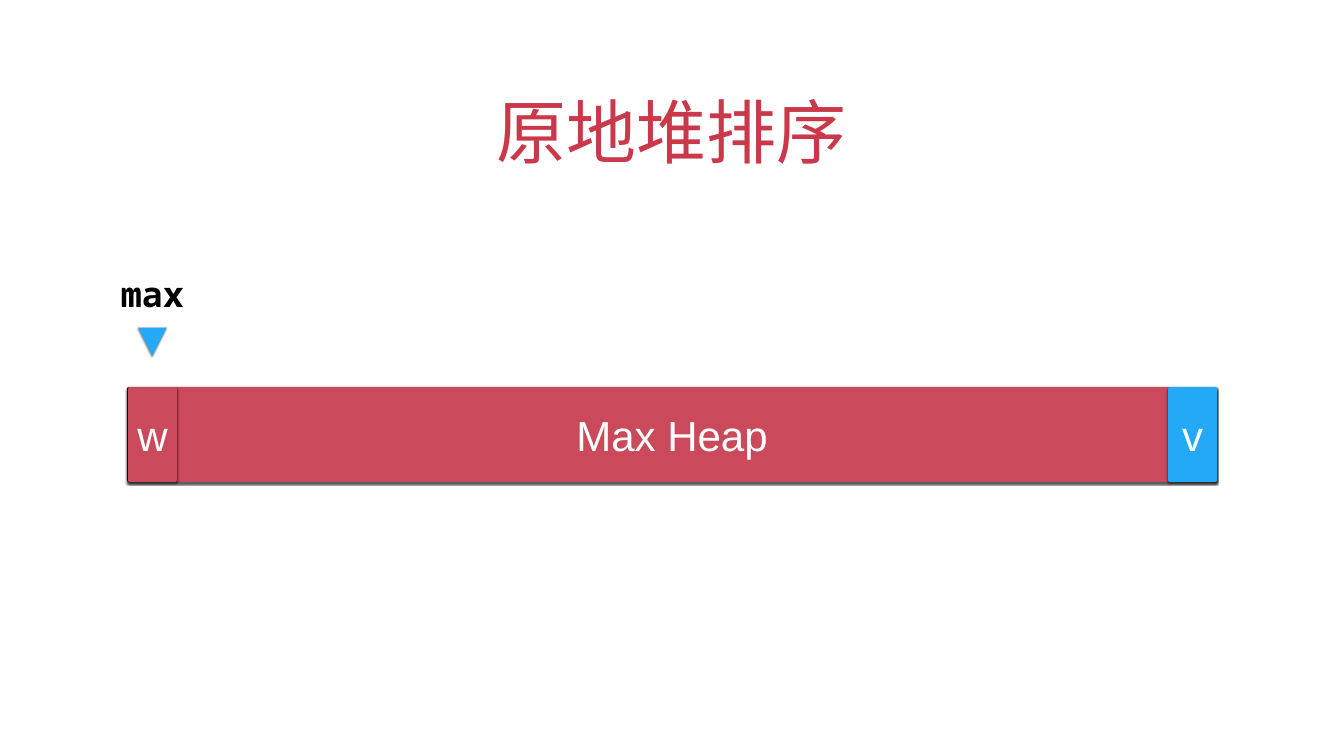
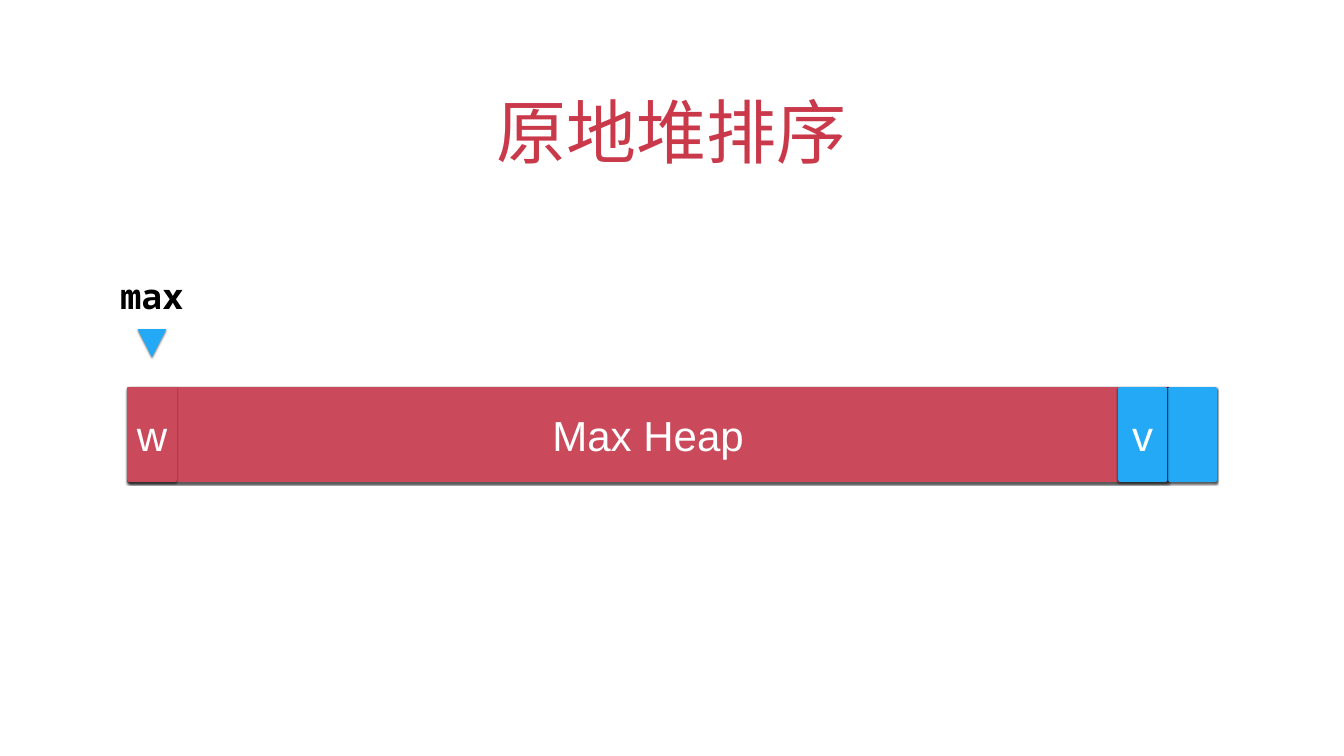
"""Two slides showing the steps of in-place heap sort."""
from lxml.etree import SubElement
from pptx import Presentation
from pptx.dml.color import RGBColor
from pptx.enum.shapes import MSO_SHAPE
from pptx.enum.text import MSO_ANCHOR, MSO_AUTO_SIZE, PP_ALIGN
from pptx.oxml.ns import qn
from pptx.util import Inches, Pt

COLORS = {"title": "C9394A", "heap": "CA495A", "sorted": "23A9F6",
          "frame": "212121", "label": "000000", "white": "FFFFFF"}
TITLE = {"size": Pt(100), "name": "Arial"}
CELL = {"size": Pt(60), "name": "Arial"}
LABEL = {"size": Pt(50), "name": "Noto Sans Mono", "bold": True}
BAR_TOP, BAR_H, CELL_W = 7.71, 1.81, 0.91


def style(sp, fill=None, line=None):
    """Apply fill, outline and the common drop shadow."""
    if fill:
        sp.fill.solid()
        sp.fill.fore_color.rgb = RGBColor.from_string(COLORS[fill])
    else:
        sp.fill.background()
    if line:
        sp.line.color.rgb = RGBColor.from_string(COLORS[line])
        sp.line.width = Pt(5)
    else:
        sp.line.fill.background()
    sp.shadow.inherit = False
    effects = sp._element.spPr.find(qn("a:effectLst"))
    shadow = SubElement(effects, qn("a:outerShdw"), blurRad=str(Pt(3)),
                        dist=str(Pt(2)), dir="5400000", rotWithShape="0")
    color = SubElement(shadow, qn("a:srgbClr"), val="000000")
    SubElement(color, qn("a:alpha"), val="50000")


def write(sp, text, font, color, anchor=MSO_ANCHOR.MIDDLE):
    """Write one centred line of text."""
    tf = sp.text_frame
    frame = {"word_wrap": True, "vertical_anchor": anchor}
    for side in ("left", "top", "right", "bottom"):
        frame[f"margin_{side}"] = Inches(0.06)
    for name, value in frame.items():
        setattr(tf, name, value)
    p = tf.paragraphs[0]
    p.alignment = PP_ALIGN.CENTER
    r = p.add_run()
    r.text = text
    for name, value in font.items():
        setattr(r.font, name, value)
    r.font.color.rgb = RGBColor.from_string(COLORS[color])


prs = Presentation()
prs.slide_width, prs.slide_height = Inches(26.67), Inches(15)

steps = [
    {"marker": (2.74, 6.5),
     "cells": [(2.57, 21.53, "heap", "Max Heap"),
               (23.21, CELL_W, "sorted", "v")],
     "root": (2.57, CELL_W, "heap", "w")},
    {"marker": (2.73, 6.53),
     "cells": [(2.57, 20.58, "heap", "Max Heap"),
               (23.21, CELL_W, "sorted", ""),
               (22.22, CELL_W, "sorted", "v")],
     "root": (2.56, CELL_W, "heap", "w")},
]

for step in steps:
    s = prs.slides.add_slide(prs.slide_layouts[6])

    title = s.shapes.add_textbox(Inches(1.94), Inches(1.27), Inches(22.78), Inches(2.22))
    write(title, "原地堆排序", TITLE, "title", MSO_ANCHOR.BOTTOM)

    frame = s.shapes.add_shape(MSO_SHAPE.RECTANGLE, Inches(2.56), Inches(BAR_TOP),
                               Inches(21.54), Inches(BAR_H))
    style(frame, line="frame")

    for left, width, color, text in step["cells"] + [step["root"]]:
        sp = s.shapes.add_shape(MSO_SHAPE.RECTANGLE, Inches(left), Inches(BAR_TOP),
                                Inches(width), Inches(BAR_H))
        style(sp, color, color)
        if text:
            write(sp, text, CELL, "white")

    x, y = step["marker"]
    outline = s.shapes.build_freeform(Inches(x + 0.285), Inches(y + 0.56))
    outline.add_line_segments([(Inches(x + 0.57), Inches(y)), (Inches(x), Inches(y))])
    style(outline.convert_to_shape(), "sorted")

    label = s.shapes.add_textbox(Inches(x - 0.85), Inches(y - 1.13),
                                 Inches(2.27), Inches(0.92))
    write(label, "max", LABEL, "label")
    label.text_frame.auto_size = MSO_AUTO_SIZE.SHAPE_TO_FIT_TEXT

prs.save("out.pptx")
